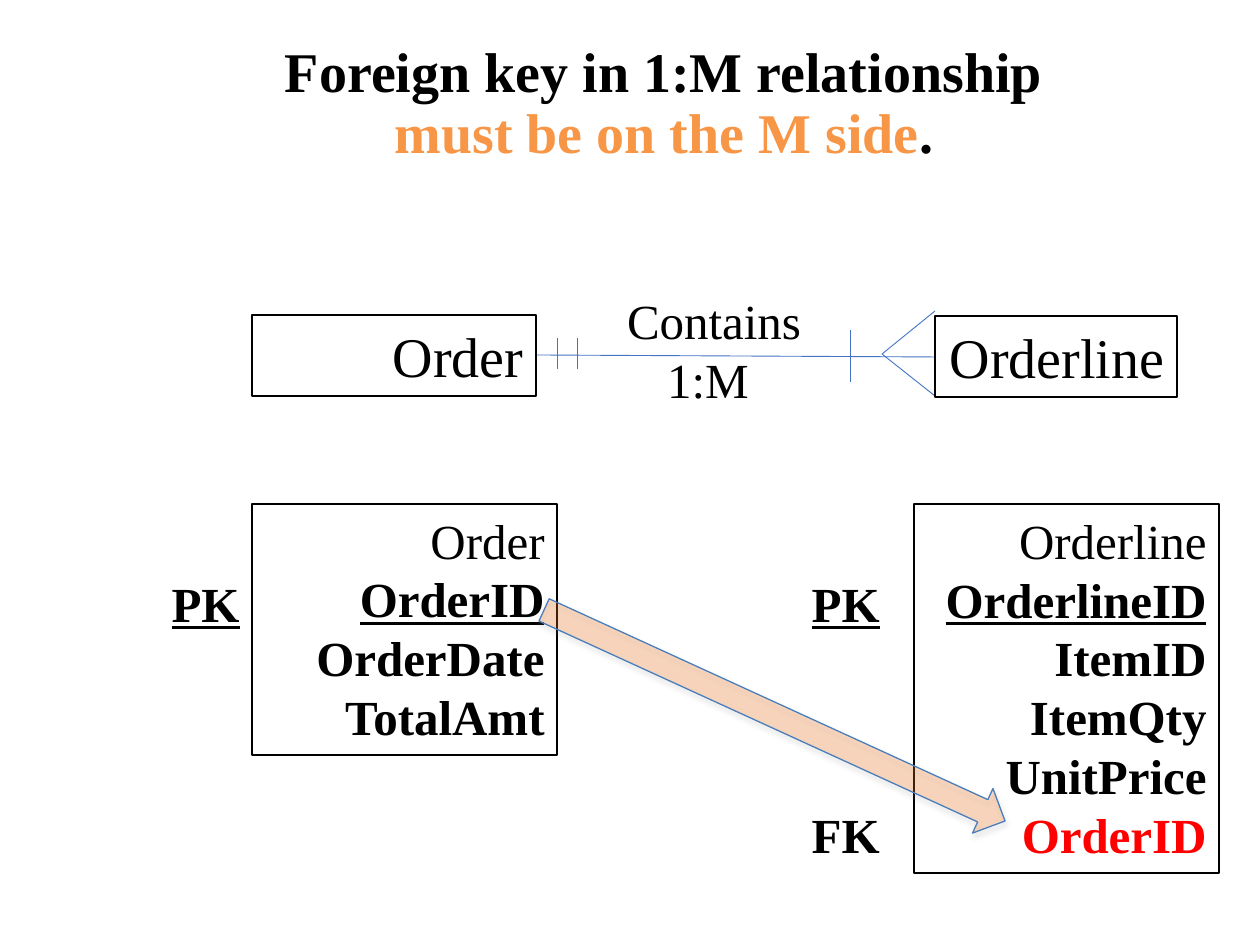
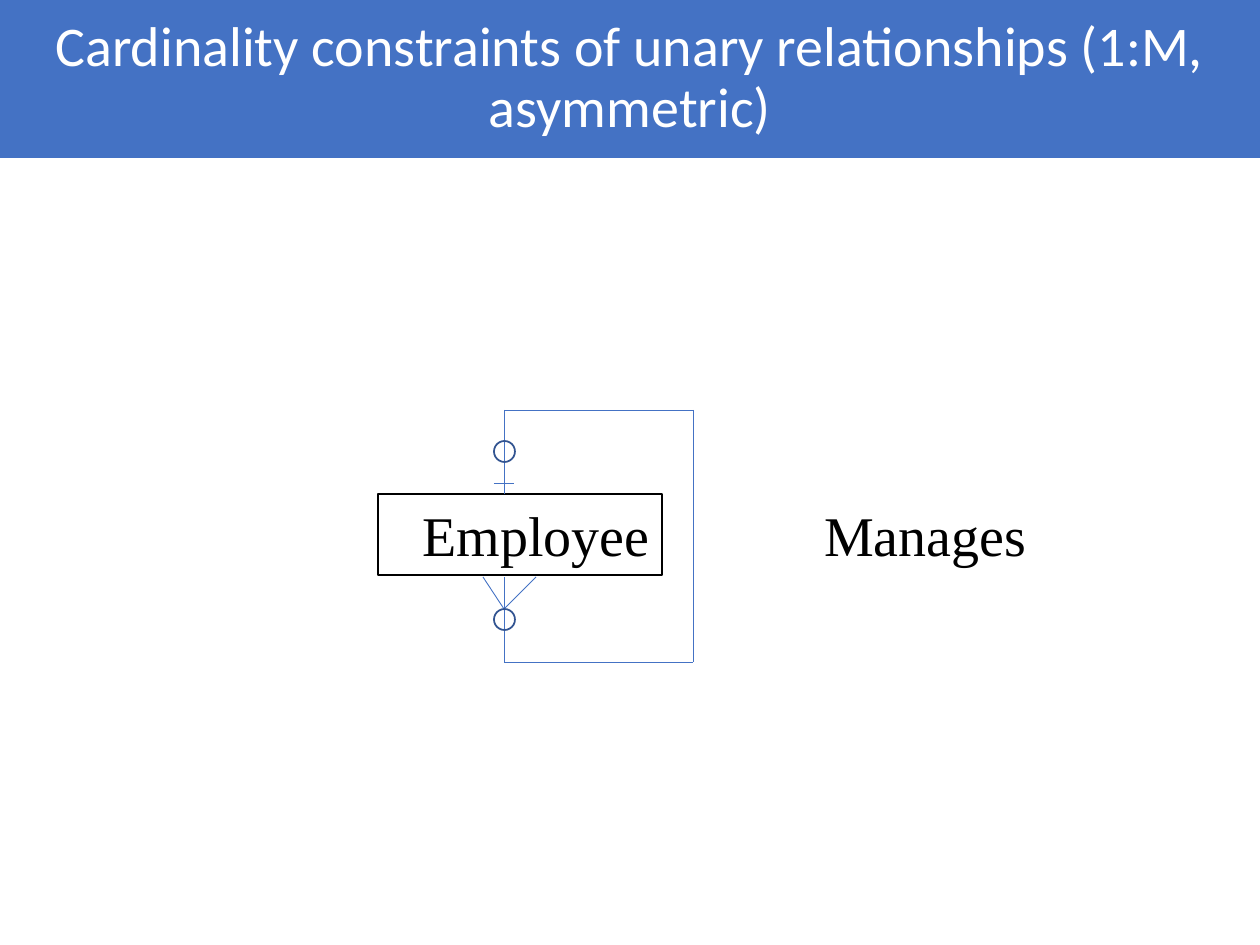
from dataclasses import dataclass

import lxml.etree
import pptx
import pptx.dml.color
import pptx.enum.shapes
import pptx.enum.text
import pptx.oxml.ns
import pptx.util

# Shared scale, fonts and colours
EMU_PER_PX = 914400 / 126
SERIF, SANS = "Times New Roman", "Calibri"
BLACK, WHITE, RED, ORANGE = "000000", "FFFFFF", "FF0000", "F79646"
BLUE, CIRCLE_BLUE, ARROW_BLUE = "4472C4", "325491", "4A7EBB"
ARROW_FILL, ARROW_SHADOW = "FF6600", "808080"
ALIGN = pptx.enum.text.PP_ALIGN
ANCHOR = pptx.enum.text.MSO_ANCHOR
SHAPE = pptx.enum.shapes.MSO_SHAPE


@dataclass(frozen=True)
class Box:
    left: int
    top: int
    width: int
    height: int

    def emu(self) -> list[int]:
        return [px(n) for n in (self.left, self.top, self.width, self.height)]


@dataclass(frozen=True)
class Words:
    text: str
    bold: bool = False
    underline: bool = False
    color: str = BLACK


@dataclass(frozen=True)
class Label:
    box: Box
    lines: list[Words]
    size: int = 28
    bordered: bool = False
    align: ALIGN = ALIGN.RIGHT


@dataclass(frozen=True)
class Line:
    x1: int
    y1: int
    x2: int
    y2: int


def px(length: int) -> int:
    return round(length * EMU_PER_PX)


def rgb(color: str) -> pptx.dml.color.RGBColor:
    return pptx.dml.color.RGBColor.from_string(color)


def set_line(shape, color: str, width: float) -> None:
    shape.line.color.rgb = rgb(color)
    shape.line.width = pptx.util.Pt(width)


def format_runs(paragraph, words: Words, size: int, font: str = SERIF) -> None:
    for run in paragraph.runs:
        run.font.name = font
        run.font.size = pptx.util.Pt(size)
        run.font.bold = words.bold
        run.font.underline = words.underline
        run.font.color.rgb = rgb(words.color)


def format_title(slide, box: Box, text: str, words: Words, font: str, anchor: ANCHOR):
    title = slide.shapes.title
    title.left, title.top, title.width, title.height = box.emu()
    frame = title.text_frame
    frame.text = text
    frame.word_wrap = True
    frame.auto_size = pptx.enum.text.MSO_AUTO_SIZE.NONE
    frame.vertical_anchor = anchor
    paragraph = frame.paragraphs[0]
    paragraph.alignment = ALIGN.CENTER
    paragraph.line_spacing = 0.9
    format_runs(paragraph, words, 32, font)
    return title


def draw_label(slide, label: Label) -> None:
    text_box = slide.shapes.add_textbox(*label.box.emu())
    if label.bordered:
        set_line(text_box, BLACK, 0.75)
    frame = text_box.text_frame
    frame.word_wrap = True
    frame.auto_size = pptx.enum.text.MSO_AUTO_SIZE.SHAPE_TO_FIT_TEXT
    for index, words in enumerate(label.lines):
        paragraph = frame.add_paragraph() if index else frame.paragraphs[0]
        paragraph.text = words.text
        paragraph.alignment = label.align
        format_runs(paragraph, words, label.size)


def draw_line(slide, line: Line) -> None:
    connector = slide.shapes.add_connector(
        pptx.enum.shapes.MSO_CONNECTOR.STRAIGHT,
        px(line.x1), px(line.y1), px(line.x2), px(line.y2))
    set_line(connector, BLUE, 0.5)
    lxml.etree.SubElement(connector._element.spPr, pptx.oxml.ns.qn("a:effectLst"))


def draw_circle(slide, box: Box) -> None:
    circle = slide.shapes.add_shape(SHAPE.OVAL, *box.emu())
    circle.shadow.inherit = False
    circle.fill.background()
    set_line(circle, CIRCLE_BLUE, 1)


def draw_key_arrow(slide, box: Box, rotation: float) -> None:
    qn = pptx.oxml.ns.qn
    arrow = slide.shapes.add_shape(SHAPE.UP_ARROW, *box.emu())
    arrow.rotation = rotation
    arrow.fill.solid()
    arrow.fill.fore_color.rgb = rgb(ARROW_FILL)
    set_line(arrow, ARROW_BLUE, 0.75)
    arrow.shadow.inherit = False
    # Translucent fill and soft shadow below
    properties = arrow._element.spPr
    fill_color = properties.find(qn("a:solidFill")).find(qn("a:srgbClr"))
    lxml.etree.SubElement(fill_color, qn("a:alpha"), val="23000")
    shadow = lxml.etree.SubElement(
        properties.find(qn("a:effectLst")), qn("a:outerShdw"),
        blurRad=str(pptx.util.Pt(3.1)), dist=str(pptx.util.Pt(1.8)),
        dir="5400000", rotWithShape="0")
    shadow_color = lxml.etree.SubElement(shadow, qn("a:srgbClr"), val=ARROW_SHADOW)
    lxml.etree.SubElement(shadow_color, qn("a:alpha"), val="35000")


def table_label(box: Box, name: str, key: str, fields: list[Words]) -> Label:
    lines = [Words(name), Words(key, bold=True, underline=True), *fields]
    return Label(box, lines, bordered=True)


def entity_label(box: Box, name: str) -> Label:
    return Label(box, [Words(name)], size=32, bordered=True)


def key_label(left: int, top: int, words: Words) -> Label:
    return Label(Box(left, top, 126, 72), [words])


def build_foreign_key_slide(slide) -> None:
    # Title with an emphasised second line
    heading = Words("Foreign key in 1:M relationship ", bold=True)
    title = format_title(slide, Box(125, 38, 1092, 155), heading.text + "\v",
                         heading, SERIF, ANCHOR.TOP)
    paragraph = title.text_frame.paragraphs[0]
    for text, color in (("must be on the M side", ORANGE), (". ", BLACK)):
        run = paragraph.add_run()
        run.text = text
        run.font.name = SERIF
        run.font.size = pptx.util.Pt(32)
        run.font.bold = True
        run.font.color.rgb = rgb(color)

    # Relationship line, crow's foot and cardinality ticks
    for line in (
        Line(536, 355, 935, 357),
        *(Line(882, 354, 935, y) for y in (311, 396)),
        *(Line(x, 338, x, 369) for x in (557, 577)),
        Line(850, 330, 850, 382),
    ):
        draw_line(slide, line)

    # Entities, tables and key labels
    primary_key = Words("PK", bold=True, underline=True)
    order_fields = [Words(name, bold=True) for name in ("OrderDate", "TotalAmt")]
    orderline_fields = [Words(name, bold=True)
                        for name in ("ItemID", "ItemQty", "UnitPrice")]
    foreign_key = Words("OrderID", bold=True, color=RED)
    for label in (
        entity_label(Box(252, 315, 284, 81), "Order"),
        entity_label(Box(935, 316, 242, 81), "Orderline"),
        Label(Box(546, 284, 336, 131), [Words("Contains\v1:M ")], align=ALIGN.CENTER),
        table_label(Box(252, 504, 305, 251), "Order", "OrderID", order_fields),
        table_label(Box(914, 504, 305, 369), "Orderline", "OrderlineID",
                    [*orderline_fields, foreign_key]),
        key_label(766, 567, primary_key),
        key_label(766, 798, Words("FK", bold=True)),
        key_label(126, 567, primary_key),
    ):
        draw_label(slide, label)

    draw_key_arrow(slide, Box(750, 462, 49, 507), 114.6)


def build_unary_slide(slide) -> None:
    # Title band
    heading = Words("Cardinality constraints of unary relationships (1:M, asymmetric)",
                    color=WHITE)
    title = format_title(slide, Box(0, 0, 1260, 158), heading.text,
                         heading, SANS, ANCHOR.MIDDLE)
    title.fill.solid()
    title.fill.fore_color.rgb = rgb(BLUE)

    # Entity and relationship name
    draw_label(slide, entity_label(Box(378, 494, 284, 81), "Employee"))
    draw_label(slide, Label(Box(714, 494, 325, 81), [Words("Manages")], size=32))

    # Loop from the entity back to itself
    axis, right, top, bottom = 504, 693, 410, 662
    foot_top, foot_tip = 577, 609
    for line in (
        *(Line(axis, y, right, y) for y in (top, bottom)),
        Line(right, top, right, bottom),
        Line(axis, top, axis, 494),
        Line(axis, foot_top, axis, bottom),
        *(Line(axis, foot_tip, x, foot_top) for x in (483, 536)),
        Line(494, 483, 514, 483),
    ):
        draw_line(slide, line)
    for circle_top in (441, foot_tip):
        draw_circle(slide, Box(494, circle_top, 21, 21))


def main() -> None:
    presentation = pptx.Presentation()
    presentation.slide_width, presentation.slide_height = px(1260), px(945)
    title_only = presentation.slide_layouts[5]
    for build in (build_foreign_key_slide, build_unary_slide):
        build(presentation.slides.add_slide(title_only))
    presentation.save("out.pptx")


if __name__ == "__main__":
    main()
